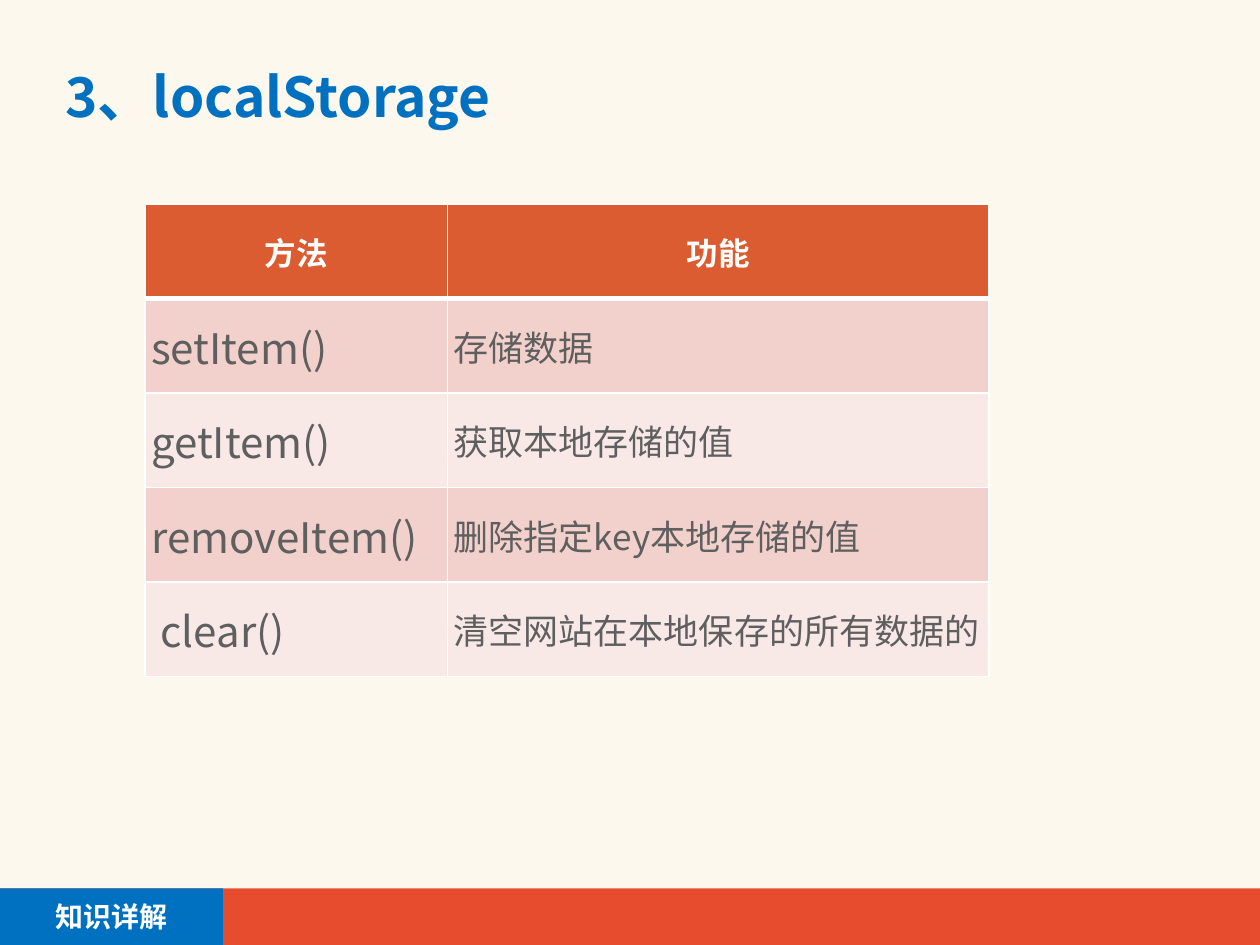
from dataclasses import dataclass

import pptx
import pptx.dml.color
import pptx.enum.shapes
import pptx.enum.text
import pptx.oxml
import pptx.oxml.ns
import pptx.util
from pptx.util import Inches

ALIGN = pptx.enum.text.PP_ALIGN
ANCHOR = pptx.enum.text.MSO_ANCHOR


@dataclass(frozen=True)
class Theme:
    font: str = "Noto Sans CJK SC"
    background: str = "FCF8ED"
    blue: str = "0070C0"
    red: str = "E74C2E"
    header: str = "DC5C31"
    bands: tuple = ("F2D1CC", "F8E9E7")
    text: str = "5F5F5F"
    white: str = "FFFFFF"
    title_size: float = 31.4
    header_size: int = 18
    method_size: int = 24
    purpose_size: int = 20
    label_size: int = 16


THEME = Theme()
ROWS = [
    ("方法", "功能"),
    ("setItem()", "存储数据"),
    ("getItem()", "获取本地存储的值"),
    ("removeItem()", "删除指定key本地存储的值"),
    (" clear()", "清空网站在本地保存的所有数据的"),
]


def set_fill(fill, color):
    fill.solid()
    fill.fore_color.rgb = pptx.dml.color.RGBColor.from_string(color)


def write_text(frame, text, size, color, bold=False, align=ALIGN.LEFT):
    """Write one paragraph, with the same font for Latin and Chinese."""
    frame.text = text
    paragraph = frame.paragraphs[0]
    paragraph.alignment = align
    font = paragraph.font
    font.name = THEME.font
    font.size = pptx.util.Pt(size)
    font.bold = bold
    font.color.rgb = pptx.dml.color.RGBColor.from_string(color)
    east_asian = pptx.oxml.parse_xml(
        f'<a:ea {pptx.oxml.ns.nsdecls("a")} typeface="{THEME.font}"/>')
    properties = paragraph._p.pPr.find(pptx.oxml.ns.qn("a:defRPr"))
    properties.find(pptx.oxml.ns.qn("a:latin")).addnext(east_asian)
    return paragraph


def set_margins(target):
    """Give a text frame or a table cell equal margins."""
    for side in ("left", "top", "right", "bottom"):
        setattr(target, f"margin_{side}", Inches(0.05))


def add_bar(slide, width, color):
    bar = slide.shapes.add_shape(
        pptx.enum.shapes.MSO_SHAPE.RECTANGLE,
        Inches(0), Inches(7.05), Inches(width), Inches(0.45))
    bar.shadow.inherit = False
    set_fill(bar.fill, color)
    bar.line.fill.background()
    return bar


def add_footer(slide):
    add_bar(slide, 10, THEME.red)
    frame = add_bar(slide, 1.77, THEME.blue).text_frame
    set_margins(frame)
    frame.vertical_anchor = ANCHOR.MIDDLE
    write_text(frame, "知识详解", THEME.label_size, THEME.white, True, ALIGN.CENTER)


def format_title(slide):
    title = slide.shapes.title
    title.left, title.top = Inches(0.47), Inches(0.37)
    title.width, title.height = Inches(9.07), Inches(0.71)
    frame = title.text_frame
    set_margins(frame)
    frame.vertical_anchor = ANCHOR.BOTTOM
    frame.auto_size = pptx.enum.text.MSO_AUTO_SIZE.NONE
    paragraph = write_text(frame, "3、localStorage", THEME.title_size, THEME.blue, True)
    paragraph.line_spacing = 0.9


def set_borders(cell, widths):
    """Draw white borders; widths maps the side tags to points."""
    properties = cell._tc.get_or_add_tcPr()
    for index, (side, width) in enumerate(widths.items()):
        properties.insert(index, pptx.oxml.parse_xml(
            f'<a:{side} {pptx.oxml.ns.nsdecls("a")} w="{pptx.util.Pt(width)}">'
            f'<a:solidFill><a:srgbClr val="{THEME.white}"/></a:solidFill></a:{side}>'))


def add_method_table(slide):
    column_widths, row_height = (2.4, 4.3), 0.75
    table = slide.shapes.add_table(
        len(ROWS), len(column_widths), Inches(1.15), Inches(1.62),
        Inches(sum(column_widths)), Inches(row_height * len(ROWS))).table
    for column, width in zip(table.columns, column_widths):
        column.width = Inches(width)
    body_sizes = (THEME.method_size, THEME.purpose_size)
    for row_index, texts in enumerate(ROWS):
        table.rows[row_index].height = Inches(row_height)
        is_header = row_index == 0
        for column_index, text in enumerate(texts):
            cell = table.cell(row_index, column_index)
            cell.vertical_anchor = ANCHOR.MIDDLE
            set_margins(cell)
            if is_header:
                set_fill(cell.fill, THEME.header)
                write_text(cell.text_frame, text, THEME.header_size,
                           THEME.white, True, ALIGN.CENTER)
            else:
                set_fill(cell.fill, THEME.bands[(row_index - 1) % 2])
                write_text(cell.text_frame, text, body_sizes[column_index], THEME.text)
            # The rule below the header is heavier, and shared with the next row
            set_borders(cell, {"lnL": 1, "lnR": 1,
                               "lnT": 3 if row_index == 1 else 1,
                               "lnB": 3 if is_header else 1})


def main():
    presentation = pptx.Presentation()
    presentation.slide_width, presentation.slide_height = Inches(10), Inches(7.5)
    slide = presentation.slides.add_slide(presentation.slide_layouts[5])
    set_fill(slide.background.fill, THEME.background)
    # Footer, title and table
    add_footer(slide)
    format_title(slide)
    add_method_table(slide)
    presentation.save("out.pptx")


if __name__ == "__main__":
    main()
